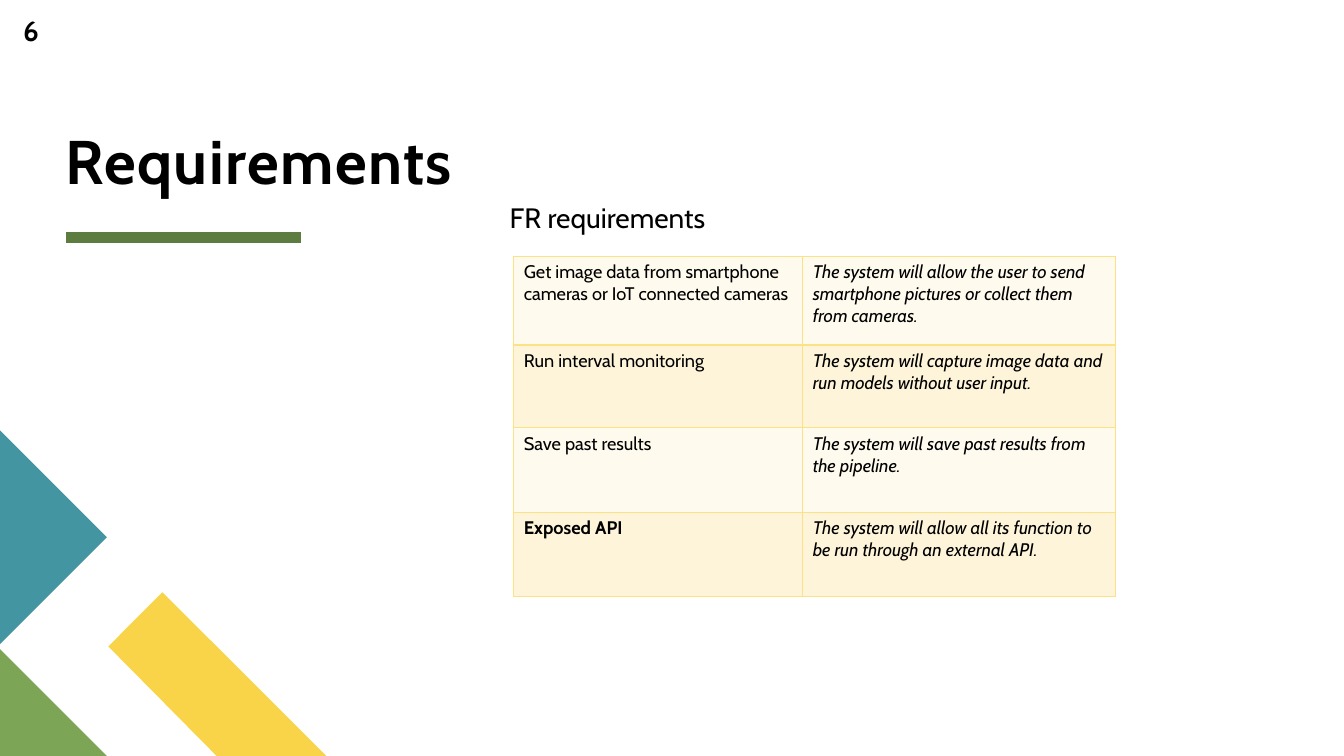
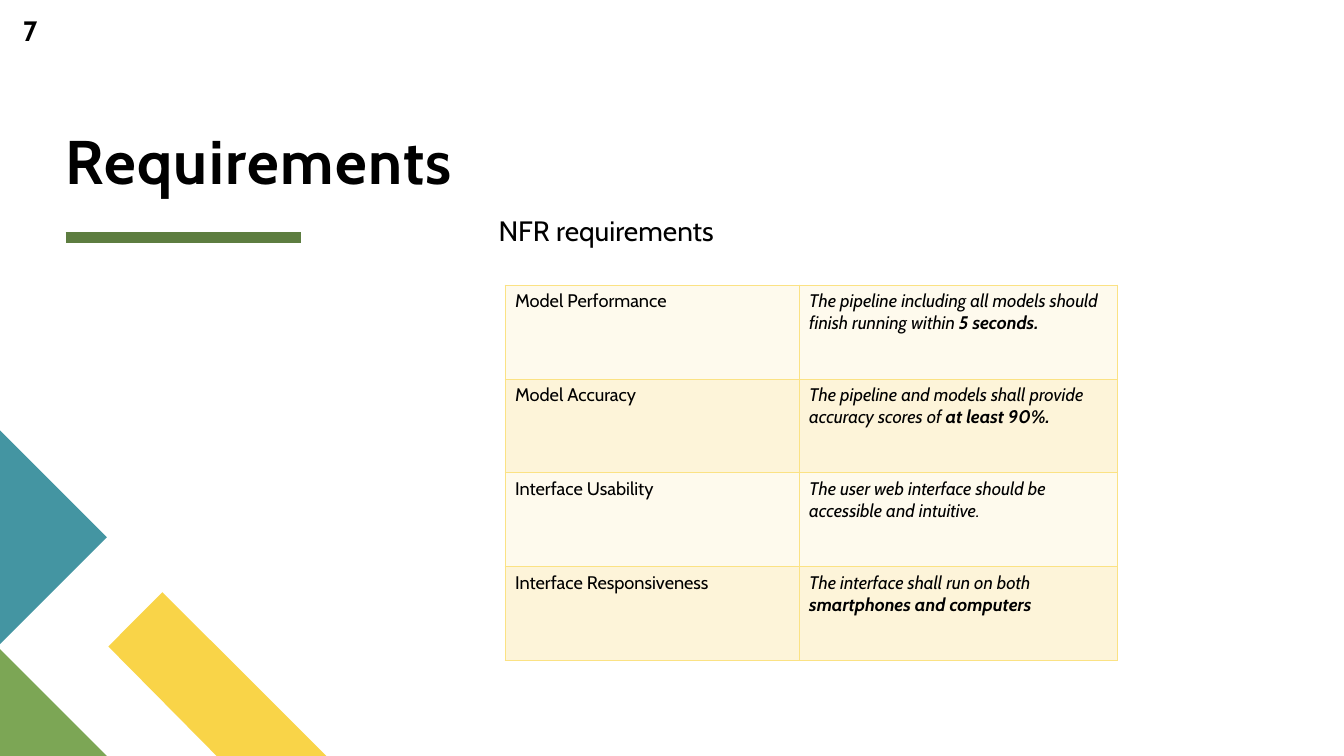
import dataclasses

import pptx
import pptx.dml.color
import pptx.enum.shapes
import pptx.enum.text
import pptx.oxml
import pptx.oxml.ns
import pptx.util

Pt = pptx.util.Pt
RGB = pptx.dml.color.RGBColor.from_string
ANCHOR = pptx.enum.text.MSO_ANCHOR


@dataclasses.dataclass(frozen=True)
class Theme:
    """Colours, type sizes and page size shared by all slides."""
    font: str = "Cabin"
    ink: str = "000000"
    rule: str = "5D7D40"
    yellow: str = "F9D448"
    green: str = "7CA655"
    teal: str = "4495A2"
    border: str = "FBE284"
    bands: tuple = ("FEFAED", "FDF4D9")
    title_size: int = 44
    heading_size: int = 20
    cell_size: int = 13
    width: int = 960
    height: int = 540


@dataclasses.dataclass(frozen=True)
class Box:
    """A region of the slide in points."""
    left: float
    top: float
    width: float
    height: float

    def lengths(self):
        """Return the four lengths for python-pptx."""
        return [Pt(v) for v in (self.left, self.top, self.width, self.height)]


THEME = Theme()

FR_ROWS = [
    ([("Get image data from smartphone cameras or IoT connected cameras", "")],
     [("The system will allow the user to send smartphone pictures or collect them from cameras.", "i")]),
    ([("Run interval monitoring", "")],
     [("The system will capture image data and run models without user input.", "i")]),
    ([("Save past results", "")],
     [("The system will save past results from the pipeline.", "i")]),
    ([("Exposed API", "b")],
     [("The system will allow all its function to be run through an external API.", "i")]),
]
NFR_ROWS = [
    ([("Model Performance", "")],
     [("The pipeline including all models should finish running within ", "i"),
      ("5 seconds.", "bi")]),
    ([("Model Accuracy", "")],
     [("The pipeline and models shall provide accuracy scores of", "i"),
      (" at least 90%.", "bi")]),
    ([("Interface Usability", "")],
     [("The user web interface should be accessible and intuitive.", "i")]),
    ([("Interface Responsiveness", "")],
     [("The interface shall run on both ", "i"),
      ("smartphones and computers", "bi")]),
]


def add_runs(paragraph, runs, size):
    """Add (text, style) runs, where style holds b for bold and i for italic."""
    for text, style in runs:
        run = paragraph.add_run()
        run.text = text
        run.font.name = THEME.font
        run.font.size = Pt(size)
        run.font.color.rgb = RGB(THEME.ink)
        run.font.bold = "b" in style
        run.font.italic = "i" in style


def add_title(slide, box, text):
    """Place the slide title at the bottom of its box, with the rule below."""
    title = slide.shapes.title
    title.left, title.top, title.width, title.height = box.lengths()
    frame = title.text_frame
    frame.margin_left = frame.margin_right = frame.margin_top = frame.margin_bottom = 0
    frame.auto_size = pptx.enum.text.MSO_AUTO_SIZE.NONE
    frame.vertical_anchor = ANCHOR.BOTTOM
    paragraph = frame.paragraphs[0]
    paragraph.alignment = pptx.enum.text.PP_ALIGN.LEFT
    paragraph.line_spacing = 0.8
    add_runs(paragraph, [(text, "b")], THEME.title_size)
    paragraph.runs[0].font._element.set("spc", "100")

    rule_top = Pt(box.top + box.height + 29)
    rule = slide.shapes.add_connector(
        pptx.enum.shapes.MSO_CONNECTOR.STRAIGHT,
        Pt(box.left), rule_top, Pt(box.left + 168), rule_top)
    rule.line.color.rgb = RGB(THEME.rule)
    rule.line.width = Pt(8)
    pptx.oxml.ns.qn("a:effectLst")
    rule._element.spPr.append(
        pptx.oxml.parse_xml(f"<a:effectLst {pptx.oxml.ns.nsdecls('a')}/>"))


def add_corner(slide, box):
    """Draw the yellow band and two triangles in the lower left corner."""
    half = 76.4
    outlines = [
        (THEME.yellow, [(233.2, box.height), (2 * half + 2, box.height),
                        (half + 1, 154.4), (116, 115.6)]),
        (THEME.green, [(half, box.height), (0, box.height), (0, box.height - half)]),
        (THEME.teal, [(0, 0), (half, half), (0, 2 * half)]),
    ]
    for color, points in outlines:
        corners = [(Pt(box.left + x), Pt(box.top + y)) for x, y in points]
        builder = slide.shapes.build_freeform(*corners[0])
        builder.add_line_segments(corners[1:], close=True)
        piece = builder.convert_to_shape()
        piece.shadow.inherit = False
        piece.fill.solid()
        piece.fill.fore_color.rgb = RGB(color)
        piece.line.fill.background()


def add_label(slide, box, text, style="", anchor=ANCHOR.TOP, spacing=1.0):
    """Place one line of heading-sized text in a box."""
    frame = slide.shapes.add_textbox(*box.lengths()).text_frame
    frame.word_wrap = True
    frame.vertical_anchor = anchor
    frame.paragraphs[0].line_spacing = spacing
    add_runs(frame.paragraphs[0], [(text, style)], THEME.heading_size)


def add_borders(cell):
    """Outline a table cell on all four sides."""
    properties = cell._tc.get_or_add_tcPr()
    for side in ("lnL", "lnR", "lnT", "lnB"):
        properties.append(pptx.oxml.parse_xml(
            f'<a:{side} {pptx.oxml.ns.nsdecls("a")} w="{Pt(1)}"><a:solidFill>'
            f'<a:srgbClr val="{THEME.border}"/></a:solidFill></a:{side}>'))


def add_requirements(slide, box, rows, heights):
    """Fill a box with a banded two-column table of requirements."""
    table = slide.shapes.add_table(len(rows), 2, *box.lengths()).table
    table.first_row = table.horz_banding = False
    for column, share in zip(table.columns, (0.48, 0.52)):
        column.width = Pt(box.width * share)
    for index, (row, height) in enumerate(zip(rows, heights)):
        table.rows[index].height = Pt(height)
        for cell, runs in zip(table.rows[index].cells, row):
            add_borders(cell)
            cell.fill.solid()
            cell.fill.fore_color.rgb = RGB(THEME.bands[index % 2])
            add_runs(cell.text_frame.paragraphs[0], runs, THEME.cell_size)


def add_requirements_slide(deck, number, heading, heading_box, table_box, rows, heights):
    """Build one slide with a title, corner art, heading and table."""
    slide = deck.slides.add_slide(deck.slide_layouts[5])
    add_title(slide, Box(46.8, 8, 856, 132.4), "Requirements")
    add_corner(slide, Box(0, 307.4, 233.2, THEME.height - 307.4))
    add_requirements(slide, table_box, rows, heights)
    add_label(slide, heading_box, heading, anchor=ANCHOR.BOTTOM)
    add_label(slide, Box(9.4, 8.6, 37.4, 29.5), str(number), "b", spacing=0.9)


def main():
    """Build and save the presentation."""
    deck = pptx.Presentation()
    deck.slide_width, deck.slide_height = Pt(THEME.width), Pt(THEME.height)
    add_requirements_slide(
        deck, 6, "FR requirements", Box(357, 117.4, 209.5, 53.3),
        Box(367, 183, 430, 243.4), FR_ROWS, (63.4, 59, 60.5, 60.5))
    add_requirements_slide(
        deck, 7, "NFR requirements", Box(349, 126.7, 209.5, 53.3),
        Box(360.8, 203.8, 437.6, 268), NFR_ROWS, (67,) * 4)
    deck.save("out.pptx")


if __name__ == "__main__":
    main()
